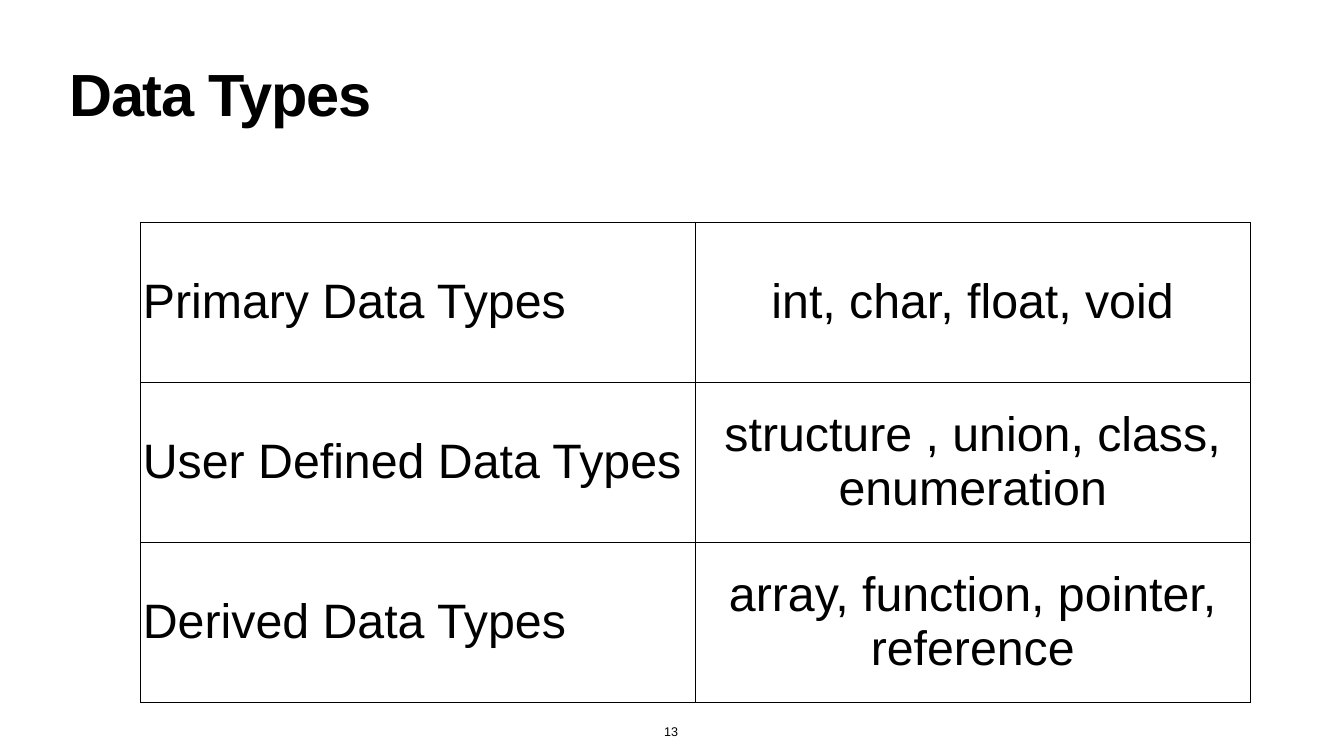
from itertools import product

from lxml import etree
from pptx import Presentation
from pptx import util as u
from pptx.dml.color import RGBColor
from pptx.enum import text
from pptx.oxml.ns import qn

BLACK = RGBColor(0, 0, 0)
INSET = u.Cm(0.14)
INSETS = {f"margin_{side}": INSET for side in ("left", "top", "right", "bottom")}
LEFT, CENTER = text.PP_ALIGN.LEFT, text.PP_ALIGN.CENTER
DATA_TYPES = [
    ("Primary Data Types", "int, char, float, void"),
    ("User Defined Data Types", "structure , union, class, enumeration"),
    ("Derived Data Types", "array, function, pointer, reference"),
]


def apply_format(target, values):
    """Set every attribute named in values on target."""
    for name, value in values.items():
        setattr(target, name, value)


def write(frame, wording, size, align, bold=False):
    """Write one formatted paragraph into a text frame and return its run."""
    paragraph = frame.paragraphs[0]
    paragraph.alignment = align
    run = paragraph.add_run()
    run.text = wording
    apply_format(run.font, {"name": "Arial", "size": u.Pt(size), "bold": bold})
    run.font.color.rgb = BLACK
    return run


def add_heading(slide, left, top, width, height):
    """Place the slide heading in the title placeholder."""
    heading = slide.shapes.title
    apply_format(heading, {"left": left, "top": top, "width": width, "height": height})
    frame = heading.text_frame
    apply_format(frame, {
        **INSETS,
        "word_wrap": True,
        "auto_size": text.MSO_AUTO_SIZE.NONE,
        "vertical_anchor": text.MSO_ANCHOR.MIDDLE,
    })
    run = write(frame, "Data Types", 85, LEFT, bold=True)
    run._r.get_or_add_rPr().set("spc", "-170")
    frame.paragraphs[0].line_spacing = 0.8


def outline_cell(cell):
    """Draw a thin black border on all four sides of a cell."""
    properties = cell._tc.get_or_add_tcPr()
    for position, side in enumerate(("lnL", "lnR", "lnT", "lnB")):
        border = etree.Element(qn(f"a:{side}"), w=str(u.Pt(1)))
        fill = etree.SubElement(border, qn("a:solidFill"))
        etree.SubElement(fill, qn("a:srgbClr"), val=str(BLACK))
        properties.insert(position, border)


def add_type_table(slide, left, top, width, height):
    """Place the table of type families and their members."""
    rows, columns = len(DATA_TYPES), len(DATA_TYPES[0])
    types = slide.shapes.add_table(rows, columns, left, top, width, height).table
    apply_format(types, {"first_row": False, "horz_banding": False})
    for row, column in product(range(rows), range(columns)):
        cell = types.cell(row, column)
        apply_format(cell, {**INSETS, "vertical_anchor": text.MSO_ANCHOR.MIDDLE})
        cell.fill.background()
        outline_cell(cell)
        write(cell.text_frame, DATA_TYPES[row][column], 69, (LEFT, CENTER)[column])


def add_page_number(slide, left, top, width, height):
    """Place the page number at the foot of the slide."""
    frame = slide.shapes.add_textbox(left, top, width, height).text_frame
    apply_format(frame, {
        **INSETS,
        "word_wrap": False,
        "auto_size": text.MSO_AUTO_SIZE.SHAPE_TO_FIT_TEXT,
        "vertical_anchor": text.MSO_ANCHOR.BOTTOM,
    })
    write(frame, "13", 18, CENTER)


def main():
    """Build the data types slide and save it."""
    deck = Presentation()
    apply_format(deck, {"slide_width": u.Cm(67.74), "slide_height": u.Cm(38.1)})
    slide = deck.slides.add_slide(deck.slide_layouts.get_by_name("Title Only"))
    add_heading(slide, u.Cm(3.35), u.Cm(3), u.Cm(61.04), u.Cm(3.99))
    add_type_table(slide, u.Cm(7.06), u.Cm(11.18), u.Cm(55.96), u.Cm(24.2))
    add_page_number(slide, u.Cm(33.32), u.Cm(36.35), u.Cm(1.02), u.Cm(1.04))
    deck.save("out.pptx")


if __name__ == "__main__":
    main()
